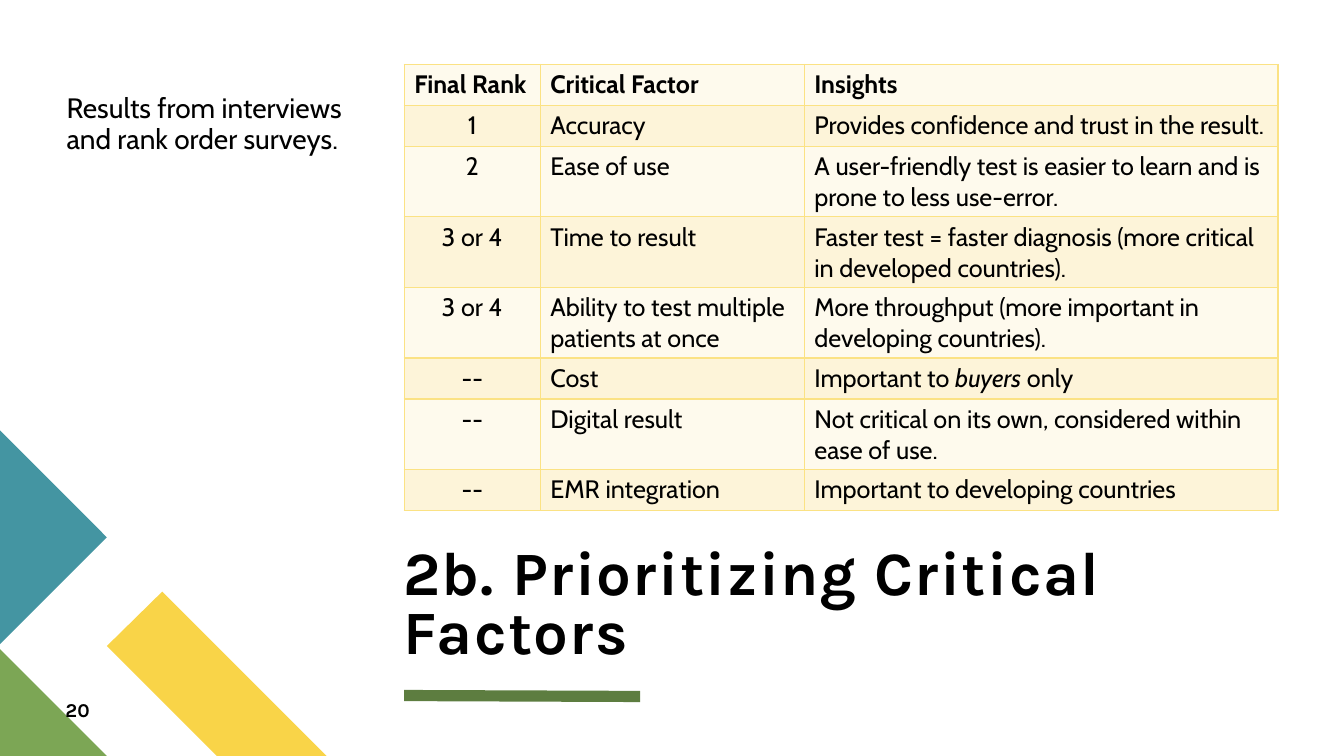
from lxml import etree
from pptx import Presentation
from pptx.dml import color
from pptx.enum import shapes, text
from pptx.oxml import ns
from pptx.util import Pt

COLORS = {
    "ink": "000000", "yellow": "F9D448", "green": "7CA655", "teal": "4495A2",
    "rule": "5D7D40", "border": "FBE284", "pale": "FEFAED", "cream": "FDF4D9",
}
TITLE = "2b. Prioritizing Critical Factors"
SUMMARY = "Results from interviews and rank order surveys."
NUMBER = "20"
ROWS = [
    ("Final Rank", "Critical Factor", "Insights"),
    ("1", "Accuracy", "Provides confidence and trust in the result."),
    ("2", "Ease of use", "A user-friendly test is easier to learn and is prone to less use-error."),
    ("3 or 4", "Time to result", "Faster test = faster diagnosis (more critical in developed countries)."),
    ("3 or 4", "Ability to test multiple patients at once",
     "More throughput (more important in developing countries)."),
    ("--", "Cost", ("Important to ", "buyers", " only")),
    ("--", "Digital result", "Not critical on its own, considered within ease of use."),
    ("--", "EMR integration", "Important to developing countries"),
]
COLUMN_WIDTHS = (97.2, 188.6, 338.4)
ROW_HEIGHT = 29.2
TABLE_LEFT, TABLE_TOP = 288.7, 46.1
CORNER_SHAPES = [
    ("yellow", [(233.3, 540), (154.8, 540), (76.3, 461.5), (115.9, 422.6)]),
    ("green", [(76.3, 540), (0, 540), (0, 463.7)]),
    ("teal", [(0, 307.4), (76.3, 383.8), (0, 460.1)]),
]
RULE = (288.7, 496.8, 457.2, 497.5)
TEXT_BOXES = [
    (TITLE, (288, 367.2, 625, 108.7), (0, 0, 0, 0), text.MSO_ANCHOR.BOTTOM, 0.8,
     {"name": "Karla", "size": Pt(44), "bold": True}, 100),
    (SUMMARY, (47.5, 46.1, 222.5, 314.6), (0, 21.6, 7.2, 3.6), text.MSO_ANCHOR.TOP, 0.9,
     {"name": "Cabin", "size": Pt(20), "bold": False}, 0),
    (NUMBER, (46.8, 498.2, 41, 19.4), (0, 0, 0, 0), text.MSO_ANCHOR.TOP, 1.0,
     {"name": "Karla", "size": Pt(14), "bold": True}, 0),
]


def rgb(name):
    return color.RGBColor.from_string(COLORS[name])


def set_all(target, values):
    for name, value in values.items():
        setattr(target, name, value)


def paint(fill, name):
    fill.solid()
    fill.fore_color.rgb = rgb(name)


def add_span(para, words, font):
    span = para.add_run()
    span.text = words
    set_all(span.font, font)
    span.font.color.rgb = rgb("ink")
    return span


def add_borders(cell):
    properties = cell._tc.get_or_add_tcPr()
    for side in ("lnL", "lnR", "lnT", "lnB"):
        line = etree.SubElement(properties, ns.qn("a:" + side), w=str(Pt(1)))
        fill = etree.SubElement(line, ns.qn("a:solidFill"))
        etree.SubElement(fill, ns.qn("a:srgbClr"), val=COLORS["border"])


def add_corner_shape(page, name, points):
    corners = [(Pt(x), Pt(y)) for x, y in points]
    builder = page.shapes.build_freeform(*corners[0])
    builder.add_line_segments(corners[1:], close=True)
    shape = builder.convert_to_shape()
    shape.shadow.inherit = False
    paint(shape.fill, name)
    shape.line.fill.background()


def add_rule(page):
    rule = page.shapes.add_connector(shapes.MSO_CONNECTOR.STRAIGHT, *map(Pt, RULE))
    rule.line.width = Pt(8)
    rule.line.color.rgb = rgb("rule")
    etree.SubElement(rule._element.spPr, ns.qn("a:effectLst"))


def add_text(page, words, place, insets, anchor, spacing, font, tracking):
    box = page.shapes.add_textbox(*map(Pt, place))
    frame = box.text_frame
    sides = ("margin_left", "margin_top", "margin_right", "margin_bottom")
    set_all(frame, dict(zip(sides, map(Pt, insets))))
    set_all(frame, {"word_wrap": True, "vertical_anchor": anchor})
    para = frame.paragraphs[0]
    para.line_spacing = spacing
    span = add_span(para, words, font)
    if tracking:
        span.font._element.set("spc", str(tracking))


def add_ranking(page):
    frame = page.shapes.add_table(
        len(ROWS), len(COLUMN_WIDTHS), Pt(TABLE_LEFT), Pt(TABLE_TOP),
        Pt(sum(COLUMN_WIDTHS)), Pt(ROW_HEIGHT * len(ROWS)))
    table = frame.table
    for column, width in zip(table.columns, COLUMN_WIDTHS):
        column.width = Pt(width)
    for r, row in enumerate(ROWS):
        table.rows[r].height = Pt(ROW_HEIGHT)
        for c, content in enumerate(row):
            cell = table.cell(r, c)
            add_borders(cell)
            paint(cell.fill, "cream" if r % 2 else "pale")
            para = cell.text_frame.paragraphs[0]
            if r and c == 0:
                para.alignment = text.PP_ALIGN.CENTER
            parts = (content,) if isinstance(content, str) else content
            for i, words in enumerate(parts):
                add_span(para, words, {"name": "Cabin", "size": Pt(18),
                                       "bold": r == 0, "italic": i == 1})


def main():
    deck = Presentation()
    set_all(deck, {"slide_width": Pt(960), "slide_height": Pt(540)})
    page = deck.slides.add_slide(deck.slide_layouts[6])
    for name, points in CORNER_SHAPES:
        add_corner_shape(page, name, points)
    add_rule(page)
    for item in TEXT_BOXES:
        add_text(page, *item)
    add_ranking(page)
    deck.save("out.pptx")


if __name__ == "__main__":
    main()
